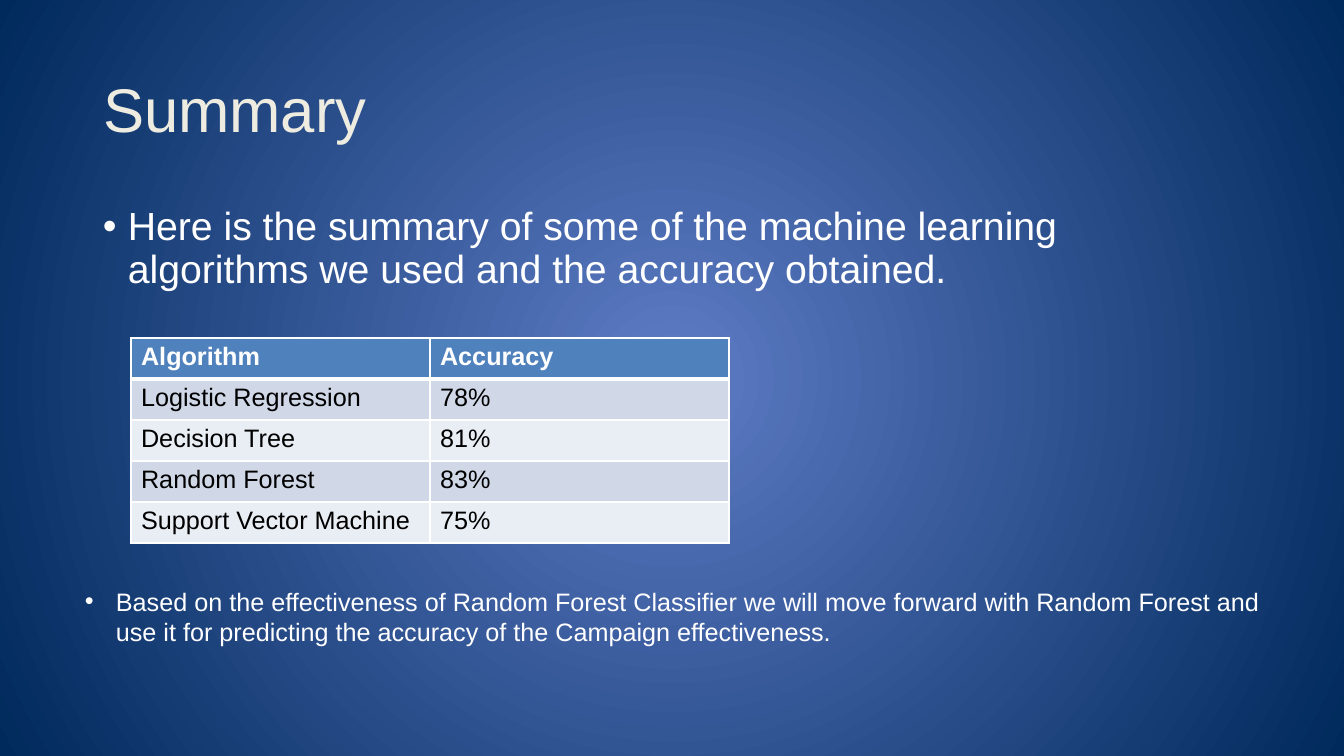
from dataclasses import dataclass

from lxml import etree
from pptx import Presentation
from pptx.dml.color import RGBColor
from pptx.enum.text import MSO_ANCHOR, MSO_AUTO_SIZE, PP_ALIGN
from pptx.oxml.ns import qn
from pptx.util import Pt

EMU_PER_PX = 914400 / 100.8
TITLE_ONLY = 5
LEFT = PP_ALIGN.LEFT
MIDDLE = MSO_ANCHOR.MIDDLE
TOP = MSO_ANCHOR.TOP
NO_AUTOFIT = MSO_AUTO_SIZE.NONE


@dataclass(frozen=True)
class Theme:
    font: str = "Arial"
    glow: str = "5E7CC5"
    edge: str = "00295C"
    title: str = "EEECE1"
    light: str = "FFFFFF"
    dark: str = "000000"
    header: str = "4F81BD"
    bands: tuple = ("D0D8E8", "E9EDF4")
    title_size: int = 44
    intro_size: int = 28
    text_size: int = 18


THEME = Theme()

ACCURACIES = [
    ("Algorithm", "Accuracy"),
    ("Logistic Regression", "78%"),
    ("Decision Tree", "81%"),
    ("Random Forest", "83%"),
    ("Support Vector Machine", "75%"),
]
INTRO = (
    "Here is the summary of some of the machine learning "
    "algorithms we used and the accuracy obtained."
)
CONCLUSION = (
    "Based on the effectiveness of Random Forest Classifier we will move forward "
    "with Random Forest and use it for predicting the accuracy of the Campaign effectiveness."
)


def px(length):
    return round(length * EMU_PER_PX)


def rgb(color):
    return RGBColor.from_string(color)


def add_run(paragraph, text, size, color, bold=False):
    run = paragraph.add_run()
    run.text = text
    run.font.name = THEME.font
    run.font.size = Pt(size)
    run.font.bold = bold
    run.font.color.rgb = rgb(color)


def paint_background(slide):
    fill = slide.background.fill
    fill.gradient()
    for stop, color, position in zip(fill.gradient_stops, (THEME.glow, THEME.edge), (0, 1)):
        stop.color.rgb = rgb(color)
        stop.position = position
    gradient = slide.element.find(".//" + qn("a:gradFill"))
    gradient.remove(gradient.find(qn("a:lin")))
    circle = etree.SubElement(gradient, qn("a:path"), path="circle")
    etree.SubElement(circle, qn("a:fillToRect"), l="50000", t="50000", r="50000", b="50000")


def place_title(slide, box, text):
    title = slide.shapes.title
    title.left, title.top, title.width, title.height = map(px, box)
    frame = title.text_frame
    frame.auto_size = NO_AUTOFIT
    frame.vertical_anchor = MIDDLE
    heading = frame.paragraphs[0]
    heading.alignment = LEFT
    heading.line_spacing = 0.9
    add_run(heading, text, THEME.title_size, THEME.title)


def add_bullet(slide, box, text, size, indent, line_spacing=1.0, space_before=0):
    frame = slide.shapes.add_textbox(*map(px, box)).text_frame
    frame.word_wrap = True
    frame.vertical_anchor = TOP
    point = frame.paragraphs[0]
    point.alignment = LEFT
    point.line_spacing = line_spacing
    point.space_before = Pt(space_before)
    add_run(point, text, size, THEME.light)
    properties = point._p.get_or_add_pPr()
    properties.set("marL", str(px(indent)))
    properties.set("indent", str(-px(indent)))
    etree.SubElement(properties, qn("a:buFont"), typeface=THEME.font)
    etree.SubElement(properties, qn("a:buChar"), char="•")


def set_border(cell, side, width):
    line = etree.SubElement(cell._tc.get_or_add_tcPr(), qn("a:" + side), w=str(Pt(width)))
    solid = etree.SubElement(line, qn("a:solidFill"))
    etree.SubElement(solid, qn("a:srgbClr"), val=THEME.light)


def add_accuracy_table(slide, box, rows):
    left, top, width, height = box
    table = slide.shapes.add_table(len(rows), len(rows[0]), *map(px, box)).table
    for column in table.columns:
        column.width = px(width / len(rows[0]))
    for row_index, values in enumerate(rows):
        table.rows[row_index].height = px(height / len(rows))
        is_header = row_index == 0
        fill = THEME.header if is_header else THEME.bands[(row_index - 1) % 2]
        color = THEME.light if is_header else THEME.dark
        for column_index, value in enumerate(values):
            cell = table.cell(row_index, column_index)
            set_border(cell, "lnL", 1)
            set_border(cell, "lnR", 1)
            set_border(cell, "lnT", 3 if row_index == 1 else 1)
            set_border(cell, "lnB", 3 if is_header else 1)
            cell.fill.solid()
            cell.fill.fore_color.rgb = rgb(fill)
            add_run(cell.text_frame.paragraphs[0], value, THEME.text_size, color, is_header)


def build_summary(slide, box):
    left, top, width, height = box
    paint_background(slide)
    place_title(slide, (left + 93, top + 40, width - 185, 146), "Summary")
    add_bullet(slide, (left + 93, top + 202, width - 185, 100), INTRO,
               THEME.intro_size, 25, 0.9, 10)
    add_accuracy_table(slide, (left + 131, top + 338, 598, 205), ACCURACIES)
    add_bullet(slide, (left + 75, top + 581, width - 114, 72), CONCLUSION, THEME.text_size, 31)


def main():
    deck = Presentation()
    deck.slide_width, deck.slide_height = px(1344), px(756)
    slide = deck.slides.add_slide(deck.slide_layouts[TITLE_ONLY])
    build_summary(slide, (0, 0, 1344, 756))
    deck.save("out.pptx")


if __name__ == "__main__":
    main()
